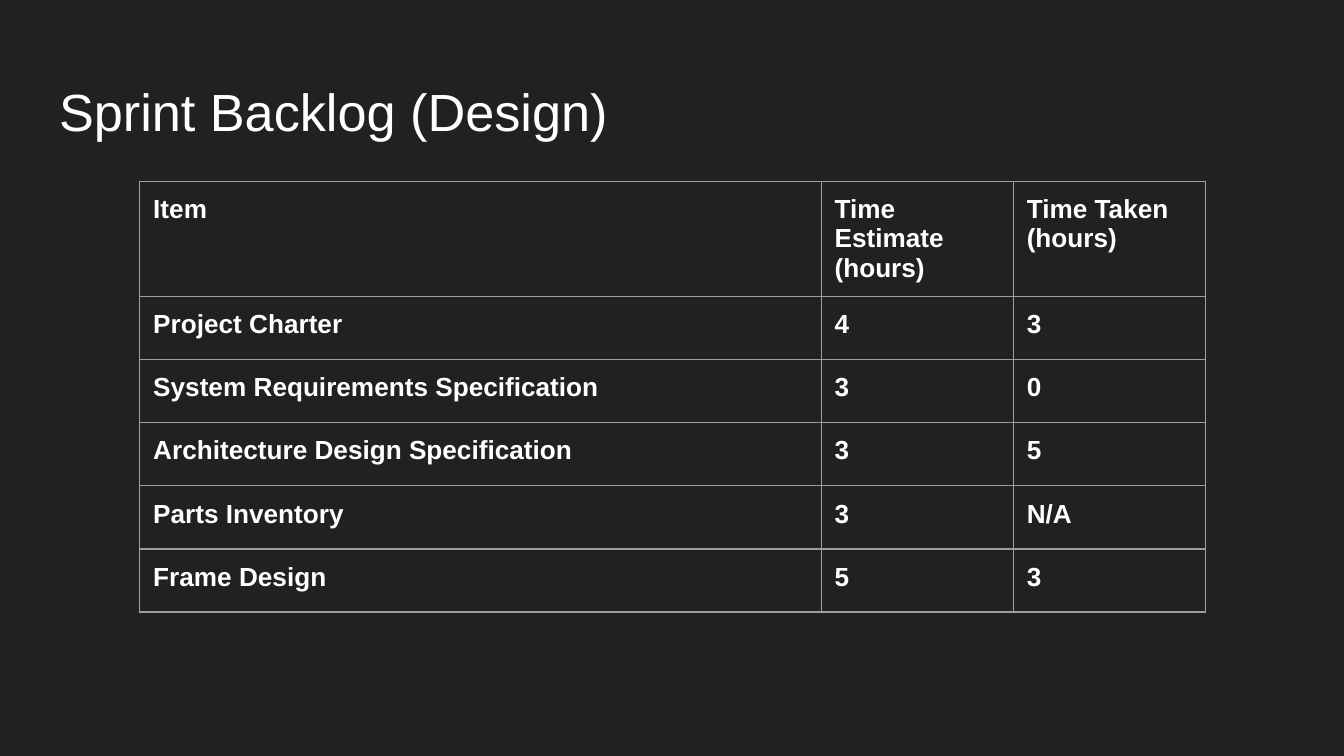
from pptx import Presentation
from pptx.dml.color import RGBColor
from pptx.enum.text import MSO_ANCHOR, PP_ALIGN
from pptx.oxml import parse_xml
from pptx.oxml.ns import nsdecls
from pptx.util import Inches, Pt

BACKGROUND, TEXT, BORDER = "212121", "FFFFFF", "9E9E9E"
BACKLOG = [
    ("Item", "Time Estimate (hours)", "Time Taken (hours)"),
    ("Project Charter", "4", "3"),
    ("System Requirements Specification", "3", "0"),
    ("Architecture Design Specification", "3", "5"),
    ("Parts Inventory", "3", "N/A"),
    ("Frame Design", "5", "3"),
]


def paint(color_format, value):
    """Set a colour from a hex string."""
    color_format.rgb = RGBColor.from_string(value)


def write(frame, text, size=14, bold=False, color=TEXT, font="Arial"):
    """Write one left-aligned paragraph into a text frame."""
    frame.word_wrap = True
    paragraph = frame.paragraphs[0]
    paragraph.alignment = PP_ALIGN.LEFT
    run = paragraph.add_run()
    run.text = text
    run.font.size, run.font.bold, run.font.name = Pt(size), bold, font
    paint(run.font.color, color)


def pad(target, margin=0.1):
    """Give a cell or text frame equal margins on all sides."""
    target.margin_left = target.margin_right = Inches(margin)
    target.margin_top = target.margin_bottom = Inches(margin)


def outline(cell, color=BORDER, width=0.75):
    """Draw the four borders of a table cell."""
    properties = cell._tc.get_or_add_tcPr()
    for side in ("lnL", "lnR", "lnT", "lnB"):
        properties.append(parse_xml(
            f'<a:{side} {nsdecls("a")} w="{Pt(width)}"><a:solidFill>'
            f'<a:srgbClr val="{color}"/></a:solidFill></a:{side}>'))


def place_title(slide, text, left, top, width, height):
    """Move the title placeholder into its box and fill it."""
    title = slide.shapes.title
    title.left, title.top = Inches(left), Inches(top)
    title.width, title.height = Inches(width), Inches(height)
    pad(title.text_frame)
    title.text_frame.vertical_anchor = MSO_ANCHOR.TOP
    write(title.text_frame, text, size=28)


def place_backlog(slide, entries, left, top, widths, header_height, row_height):
    """Build the backlog table from its top left corner."""
    heights = [header_height] + [row_height] * (len(entries) - 1)
    backlog = slide.shapes.add_table(
        len(entries), len(widths), Inches(left), Inches(top),
        Inches(sum(widths)), Inches(sum(heights))).table
    for column, width in zip(backlog.columns, widths):
        column.width = Inches(width)
    for row, height, entry in zip(backlog.rows, heights, entries):
        row.height = Inches(height)
        for cell, text in zip(row.cells, entry):
            pad(cell)
            outline(cell)
            cell.fill.background()
            write(cell.text_frame, text, bold=True)


def build():
    """Build and save the sprint backlog slide."""
    deck = Presentation()
    deck.slide_width, deck.slide_height = Inches(10), Inches(10 * 9 / 16)
    slide = deck.slides.add_slide(deck.slide_layouts[5])
    slide.background.fill.solid()
    paint(slide.background.fill.fore_color, BACKGROUND)
    place_title(slide, "Sprint Backlog (Design)", 0.34, 0.49, 9.32, 0.63)
    place_backlog(slide, BACKLOG, 1.04, 1.35, (5.07, 1.43, 1.43), 0.72, 0.47)
    deck.save("out.pptx")


build()
